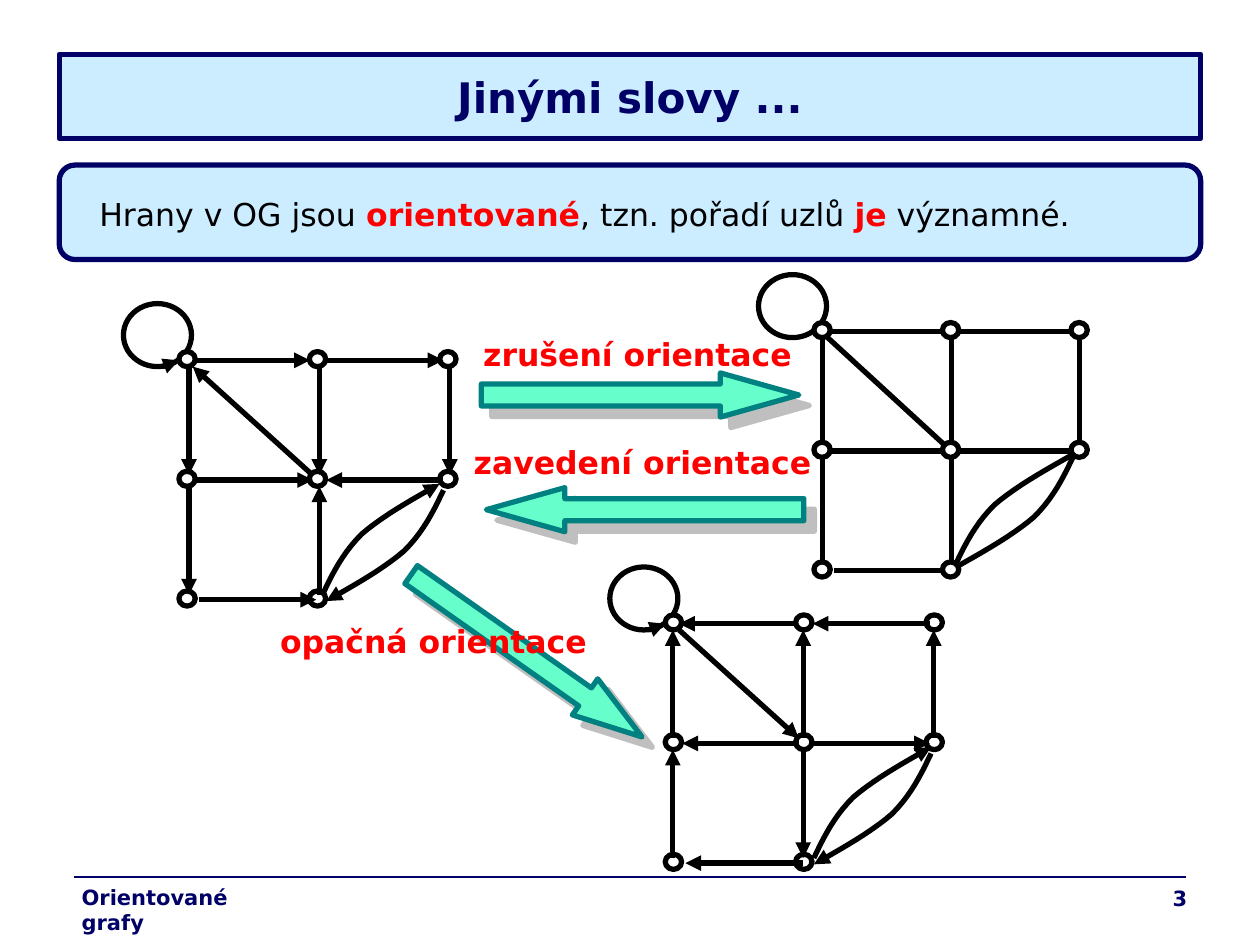
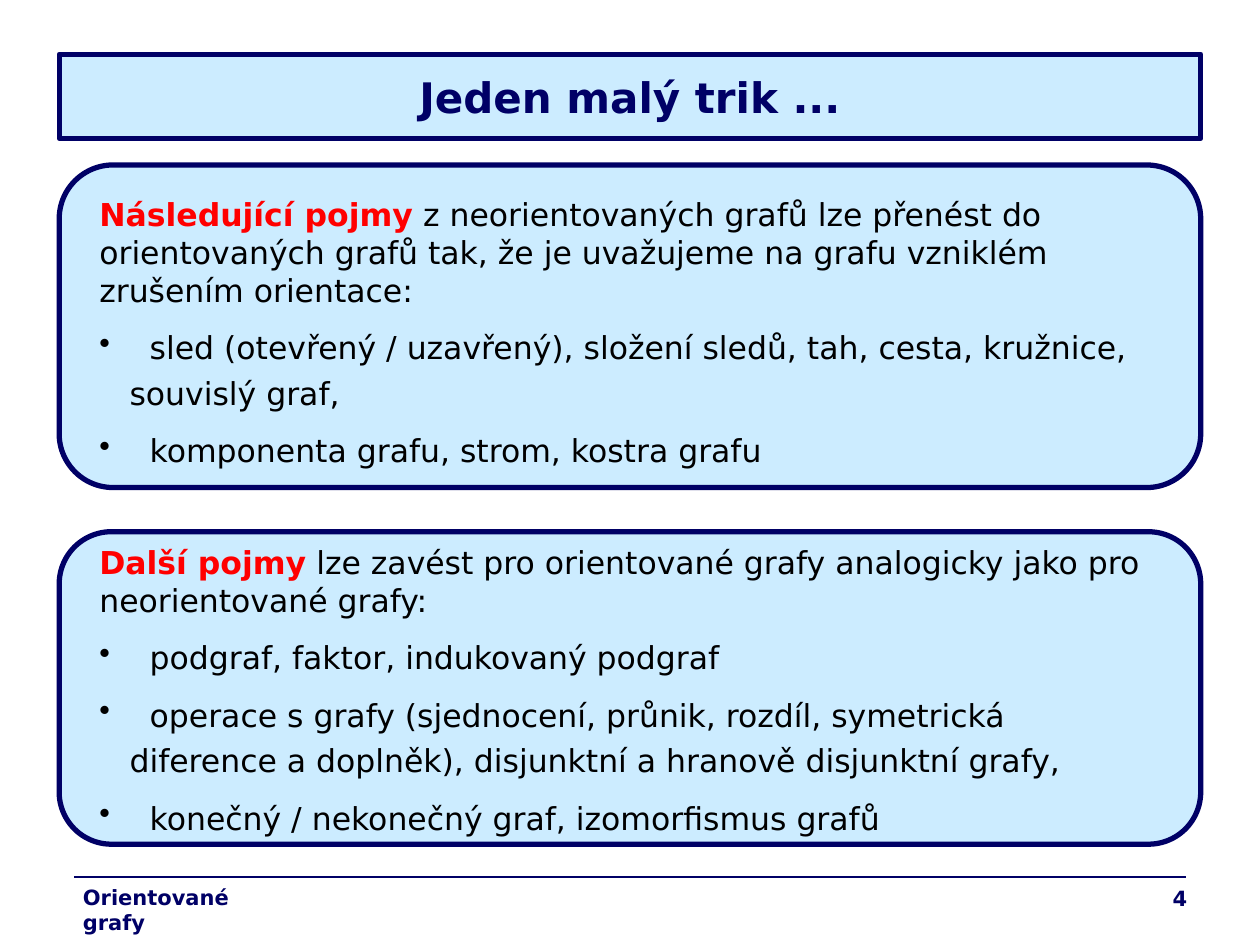
"""Builds two slides on directed graphs."""
from dataclasses import dataclass

from lxml import etree
from pptx import Presentation, util as u
from pptx.dml.color import RGBColor
from pptx.enum import shapes, text
from pptx.oxml.ns import qn


@dataclass(frozen=True)
class Theme:
    """Colours, type sizes and line widths."""
    font: str = "DejaVu Sans"
    navy: str = "000066"
    pale: str = "CCECFF"
    black: str = "000000"
    white: str = "FFFFFF"
    red: str = "FF0000"
    mint: str = "66FFCC"
    teal: str = "008080"
    grey: str = "808080"
    title: int = 24
    body: int = 18
    footer: int = 12
    bold_line: float = 3
    thin_line: float = 0.75
    gap: float = 11.2
    tight_gap: float = 4.5
    footer_gap: float = 3


@dataclass(frozen=True)
class Graph:
    """One drawing of the example graph; direction is 1, -1 or 0 for none."""
    origin: tuple
    direction: int
    step: float
    lean: float
    bend: float
    return_bend: tuple


PRESET = shapes.MSO_SHAPE
ALIGN = text.PP_ALIGN
COLUMNS, ROWS = 100, 75
ROW_STEP = 9.5
FULL_STEP = 10.35
NODES = [(col, row) for row in range(3) for col in range(3) if (col, row) != (2, 2)]
EDGES = [((0, 0), (1, 0)), ((0, 1), (1, 1)), ((0, 2), (1, 2)), ((1, 0), (2, 0)),
         ((2, 0), (2, 1)), ((1, 0), (1, 1)), ((0, 0), (0, 1)), ((0, 1), (0, 2)),
         ((1, 2), (1, 1)), ((2, 1), (1, 1)), ((1, 1), (0, 0))]
BOW = [(0, 0), (0.8, -1.7), (1.6, -3.3), (3.1, -4.8), (4.7, -6.2), (7, -7.5), (9.3, -8.8)]


def bezier(controls, pieces=10):
    """Return points along one cubic curve, without its start."""
    points = []
    for piece in range(1, pieces + 1):
        t = piece / pieces
        weights = ((1 - t) ** 3, 3 * t * (1 - t) ** 2, 3 * t * t * (1 - t), t ** 3)
        points.append(tuple(sum(w * c[axis] for w, c in zip(weights, controls))
                            for axis in (0, 1)))
    return points


def edge_ends(graph, start, end):
    """Return both ends of an edge, measured from the first node."""
    (col, row), far = sorted((start, end))
    scale = graph.step / FULL_STEP
    top = row * ROW_STEP
    if col == far[0]:
        across = col * graph.step + graph.lean
        ends = [(across, top + 0.6), (across, top + 9.2)]
    elif row == far[1]:
        left = col * graph.step + (0.7 if col else 0.45 + 0.25 * row) * scale
        ends = [(left, top + 0.1), (left + 9.3 * scale, top + 0.1)]
    else:
        ends = [(0.45 * scale, 0.6), (9.95 * scale, 9.2)]
    forward = (start < end) == (graph.direction >= 0)
    return ends if forward else ends[::-1]


class Deck:
    """Holds the style and the current slide."""

    def __init__(self, theme):
        """Start an empty 10 by 7.5 inch deck."""
        self.theme = theme
        self.show = Presentation()
        self.show.slide_width, self.show.slide_height = u.Inches(10), u.Inches(7.5)
        self.canvas = None

    def x(self, columns):
        """Turn columns into a length."""
        return u.Emu(round(self.show.slide_width * columns / COLUMNS))

    def y(self, rows):
        """Turn rows into a length."""
        return u.Emu(round(self.show.slide_height * rows / ROWS))

    def box(self, left, top, width, height):
        """Turn a grid box into lengths."""
        return self.x(left), self.y(top), self.x(width), self.y(height)

    def paint(self, shape, fill, line):
        """Fill and outline a shape, with no shadow."""
        if fill:
            shape.fill.solid()
            shape.fill.fore_color.rgb = RGBColor.from_string(fill)
        else:
            shape.fill.background()
        self.stroke(shape, line)
        shape.shadow.inherit = False

    def stroke(self, shape, colour, width=None, arrow=False):
        """Set a line's colour, width and arrowhead."""
        shape.line.color.rgb = RGBColor.from_string(colour)
        shape.line.width = u.Pt(width or self.theme.bold_line)
        if arrow:
            etree.SubElement(shape.line._get_or_add_ln(), qn("a:tailEnd"), type="triangle")

    def shape(self, preset, box, fill, line, *adjustments):
        """Add a preset shape."""
        shape = self.canvas.add_shape(preset, *self.box(*box))
        self.paint(shape, fill, line)
        for index, value in enumerate(adjustments):
            shape.adjustments[index] = value
        return shape

    def line(self, start, end, colour, width=None, arrow=False):
        """Add a straight line."""
        line = self.canvas.add_connector(shapes.MSO_CONNECTOR.STRAIGHT, self.x(start[0]),
                                         self.y(start[1]), self.x(end[0]), self.y(end[1]))
        self.stroke(line, colour, width, arrow)
        etree.SubElement(line._element.spPr, qn("a:effectLst"))

    def curve(self, controls, arrow):
        """Add an open curve through two cubic pieces."""
        points = bezier(controls[:4]) + bezier(controls[3:])
        start, *rest = [(self.x(px), self.y(py)) for px, py in [controls[0]] + points]
        builder = self.canvas.build_freeform(*start)
        builder.add_line_segments(rest, close=False)
        outline = builder.convert_to_shape()
        self.paint(outline, None, self.theme.black)
        self.stroke(outline, self.theme.black, arrow=arrow)

    def run(self, paragraph, words, size, colour, bold):
        """Add one run."""
        run = paragraph.add_run()
        run.text = words
        run.font.name, run.font.size, run.font.bold = self.theme.font, u.Pt(size), bold
        run.font.color.rgb = RGBColor.from_string(colour)

    def textbox(self, box):
        """Add a wrapping text box that grows with its text."""
        frame = self.canvas.add_textbox(*self.box(*box)).text_frame
        frame.word_wrap = True
        frame.auto_size = text.MSO_AUTO_SIZE.SHAPE_TO_FIT_TEXT
        return frame

    def label(self, words, box, size, colour, align, gap):
        """Add one bold line of text."""
        paragraph = self.textbox(box).paragraphs[0]
        paragraph.alignment, paragraph.space_before = align, u.Pt(gap)
        self.run(paragraph, words, size, colour, True)

    def slide(self, title, number, footer_left):
        """Start a slide with its title band and footer."""
        theme = self.theme
        slide = self.show.slides.add_slide(self.show.slide_layouts[5])
        self.canvas = slide.shapes
        band = slide.shapes.title
        band.left, band.top, band.width, band.height = self.box(4.7, 4.3, 90.6, 6.7)
        self.paint(band, theme.pale, theme.navy)
        band.text_frame.auto_size = text.MSO_AUTO_SIZE.NONE
        band.text_frame.vertical_anchor = text.MSO_ANCHOR.MIDDLE
        heading = band.text_frame.paragraphs[0]
        heading.alignment = ALIGN.CENTER
        self.run(heading, title, theme.title, theme.navy, True)
        self.line((5.9, 69.6), (94.1, 69.6), theme.navy, theme.thin_line)
        self.label("Orientované grafy", (footer_left, 69.7, 17.3, 3), theme.footer,
                   theme.navy, ALIGN.LEFT, theme.footer_gap)
        self.label(str(number), (74.4, 69.8, 20.8, 3.6), theme.footer, theme.navy,
                   ALIGN.RIGHT, 0)

    def panel(self, top, height, text_top, lead, items=()):
        """Add a rounded panel with a lead of (words, stressed) and bulleted items."""
        theme = self.theme
        self.shape(PRESET.ROUNDED_RECTANGLE, (4.7, top, 90.6, height),
                   theme.pale, theme.navy, 0.167)
        frame = self.textbox((6.9, text_top, 86, height - 3))
        opening = frame.paragraphs[0]
        opening.space_before = u.Pt(theme.gap)
        for words, stressed in lead:
            self.run(opening, words, theme.body, theme.red if stressed else theme.black,
                     stressed)
        for item in items:
            for index, words in enumerate(item):
                self.item_line(frame.add_paragraph(), words, bulleted=index == 0)

    def item_line(self, paragraph, words, bulleted):
        """Fill one line of a bulleted item."""
        theme = self.theme
        paragraph.space_before = u.Pt(theme.gap if bulleted else theme.tight_gap)
        props = paragraph._p.get_or_add_pPr()
        margin = self.x(4 if bulleted else 2.4)
        props.set("marL", str(margin))
        props.set("indent", str(-margin if bulleted else 0))
        if bulleted:
            colour = etree.SubElement(props, qn("a:buClr"))
            etree.SubElement(colour, qn("a:srgbClr"), val=theme.black)
            etree.SubElement(props, qn("a:buChar"), char="•")
        self.run(paragraph, words, theme.body, theme.black, False)

    def block_arrow(self, preset, box, head, rotation=0):
        """Add a block arrow with a soft shadow."""
        arrow = self.shape(preset, box, self.theme.mint, self.theme.teal, 0.5, head)
        arrow.rotation = rotation
        effects = arrow._element.spPr.find(qn("a:effectLst"))
        shadow = etree.SubElement(effects, qn("a:outerShdw"), dist=str(u.Pt(8.5)),
                                  dir="2700000", algn="ctr", rotWithShape="0")
        colour = etree.SubElement(shadow, qn("a:srgbClr"), val=self.theme.grey)
        etree.SubElement(colour, qn("a:alpha"), val="50000")

    def caption(self, words, left, top):
        """Add the red caption of a block arrow."""
        self.label(words, (left, top, 35.8, 4), self.theme.body, self.theme.red,
                   ALIGN.CENTER, self.theme.gap)

    def nodes(self, graph):
        """Add the nodes of a graph."""
        left, top = graph.origin
        for col, row in NODES:
            self.shape(PRESET.OVAL, (left + col * graph.step - 0.65,
                                     top + row * ROW_STEP - 0.6, 1.3, 1.2),
                       self.theme.white, self.theme.black)

    def edges(self, graph):
        """Add the straight and curved edges of a graph."""
        left, top = graph.origin
        arrow = graph.direction != 0
        for start, end in EDGES:
            ends = [(left + ex, top + ey) for ex, ey in edge_ends(graph, start, end)]
            self.line(*ends, self.theme.black, arrow=arrow)
        bows = [(graph.step + graph.bend, 18.7, 1),
                (2 * graph.step + graph.return_bend[0], 9.5 + graph.return_bend[1], -1)]
        for bow_x, bow_y, turn in bows:
            self.curve([(left + bow_x + turn * px, top + bow_y + turn * py)
                        for px, py in BOW], arrow)

    def graph(self, graph):
        """Add a whole graph as one group."""
        left, top = graph.origin
        outer = self.canvas
        self.canvas = outer.add_group_shape().shapes
        self.shape(PRESET.OVAL, (left - 5.05, top - 4.4, 5.4, 5), None, self.theme.black)
        if graph.direction:
            self.nodes(graph)
            self.edges(graph)
            self.line((left - 1.95, top + 0.6), (left - 0.65, top + 0.1),
                      self.theme.black, arrow=True)
        else:
            self.edges(graph)
            self.nodes(graph)
        self.canvas = outer


def main():
    """Build and save the deck."""
    deck = Deck(Theme())

    deck.slide("Jinými slovy ...", 3, 5.5)
    deck.panel(13.1, 7.5, 15, [("Hrany v OG jsou ", False), ("orientované", True),
                               (", tzn. pořadí uzlů ", False), ("je", True),
                               (" významné.", False)])
    deck.graph(Graph((14.85, 28.5), 1, FULL_STEP, 0.15, 0.4, (-0.35, 0.9)))
    deck.graph(Graph((65.25, 26.2), 0, 10.2, 0.05, 0.35, (-0.45, 0.5)))
    deck.block_arrow(PRESET.RIGHT_ARROW, (38.2, 29.6, 25.2, 3.5), 1.78)
    deck.caption("zrušení orientace", 32.7, 26.1)
    deck.graph(Graph((53.45, 49.4), -1, FULL_STEP, -0.05, 0.8, (-0.25, 0.9)))
    deck.block_arrow(PRESET.RIGHT_ARROW, (30.6, 50.3, 22.4, 3.5), 1.58, 35.1)
    deck.caption("opačná orientace", 16.5, 48.9)
    deck.block_arrow(PRESET.LEFT_ARROW, (38.6, 38.7, 25.2, 3.5), 1.78)
    deck.caption("zavedení orientace", 33.1, 34.7)

    deck.slide("Jeden malý trik ...", 4, 5.6)
    deck.panel(13.1, 25.6, 15,
               [("Následující pojmy", True),
                (" z neorientovaných grafů lze přenést do orientovaných grafů tak, "
                 "že je uvažujeme na grafu vzniklém zrušením orientace:", False)],
               [("sled (otevřený / uzavřený), složení sledů, tah, cesta, kružnice,",
                 "souvislý graf,"),
                ("komponenta grafu, strom, kostra grafu",)])
    deck.panel(42.2, 24.8, 42.6,
               [("Další pojmy", True),
                (" lze zavést pro orientované grafy analogicky jako pro "
                 "neorientované grafy:", False)],
               [("podgraf, faktor, indukovaný podgraf",),
                ("operace s grafy (sjednocení, průnik, rozdíl, symetrická",
                 "diference a doplněk), disjunktní a hranově disjunktní grafy,"),
                ("konečný / nekonečný graf, izomorfismus grafů",)])
    deck.show.save("out.pptx")


if __name__ == "__main__":
    main()
